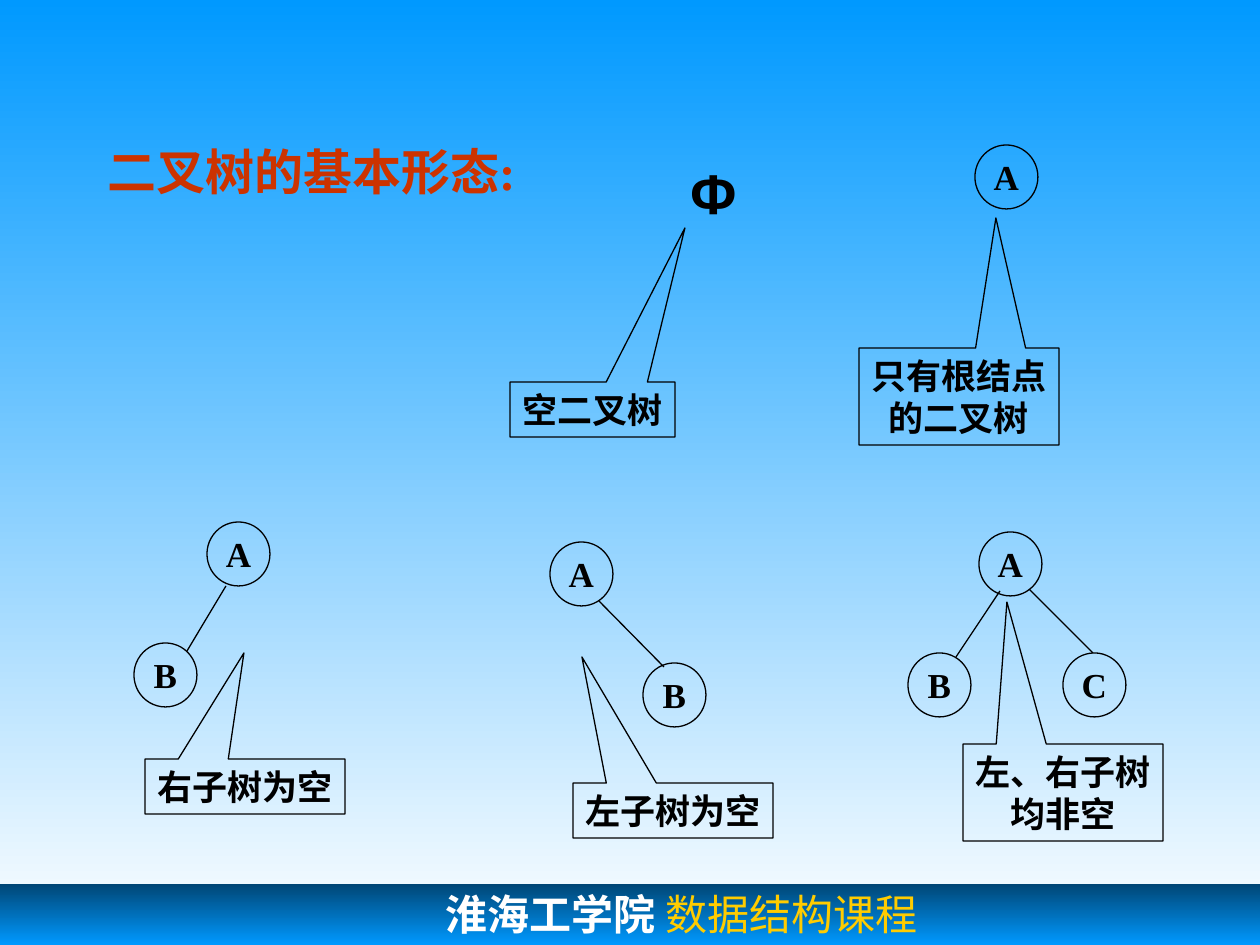
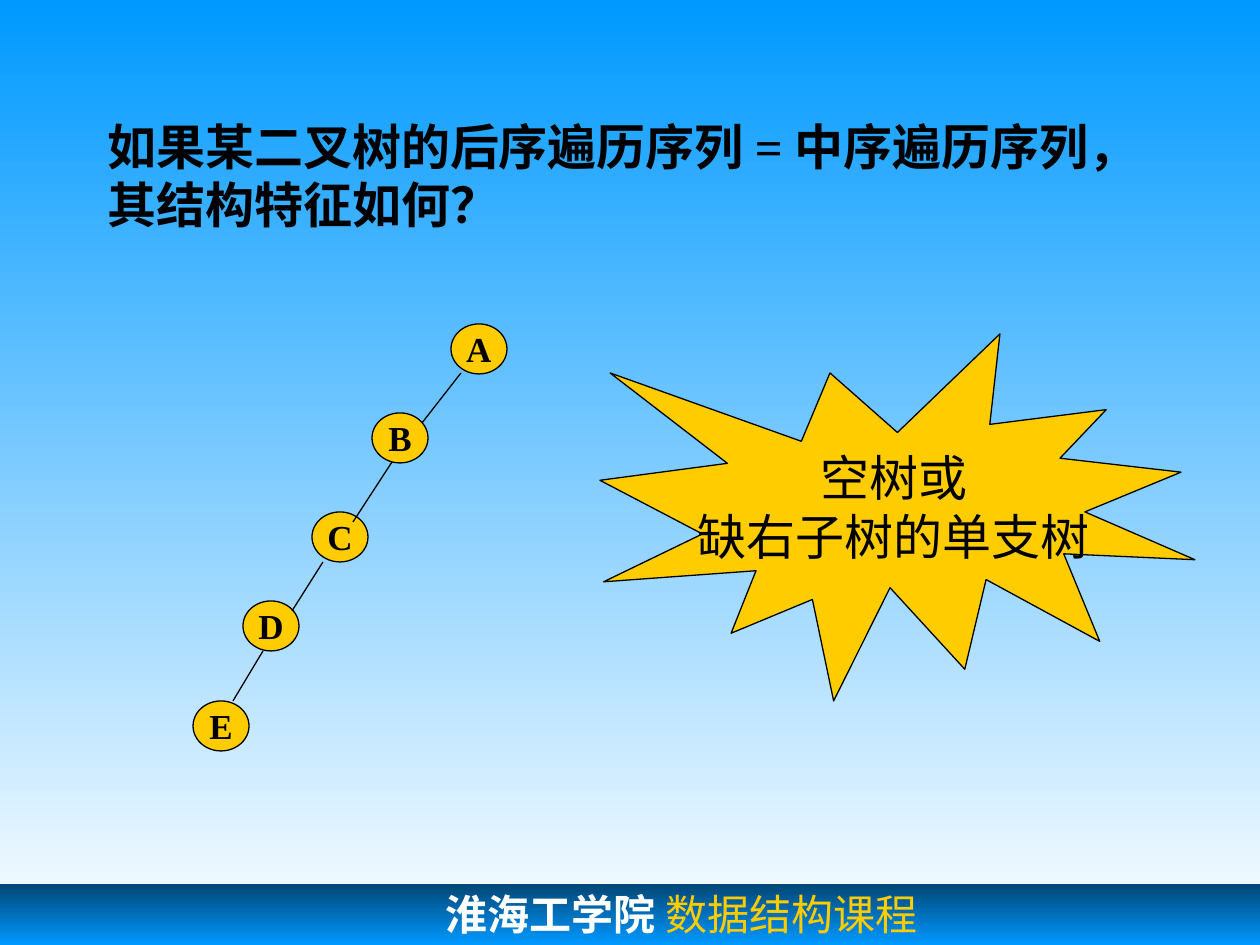
import pptx
import pptx.dml.color
import pptx.enum.shapes
import pptx.enum.text
import pptx.oxml
import pptx.oxml.ns
import pptx.util

RGBColor = pptx.dml.color.RGBColor
SHAPE = pptx.enum.shapes.MSO_SHAPE
ALIGN = pptx.enum.text.PP_ALIGN
ANCHOR = pptx.enum.text.MSO_ANCHOR

SKY = RGBColor(0x00, 0x99, 0xFF)
WHITE = RGBColor(0xFF, 0xFF, 0xFF)
NAVY = RGBColor(0x00, 0x46, 0x75)
GOLD = RGBColor(0xFF, 0xCC, 0x00)
RUST = RGBColor(0xCC, 0x33, 0x00)
BLACK = RGBColor(0x00, 0x00, 0x00)

SERIF = "Times New Roman"
MONO = "DejaVu Sans Mono"
PIXEL = 914400 // 126
SLIDE_WIDTH, SLIDE_HEIGHT = 1260, 945
FOOTER_TOP = 884
FOOTER_SHAPE_ID = "100"
OPEN_NODE = (63, 64)
GOLD_NODE = (56, 50)


def px(*lengths):
    return [pptx.util.Emu(length * PIXEL) for length in lengths]


def style_font(font, size, colour, bold=True, name=SERIF):
    font.name = name
    font.size = pptx.util.Pt(size)
    font.bold = bold
    font.color.rgb = colour


def fill_gradient(fill, top, bottom):
    fill.gradient()
    fill.gradient_angle = 270
    for stop, colour, position in zip(fill.gradient_stops, (top, bottom), (0, 1)):
        stop.color.rgb = colour
        stop.position = position


def write_lines(shape, lines, size=20, bold=True, name=SERIF):
    frame = shape.text_frame
    frame.word_wrap = False
    frame.vertical_anchor = ANCHOR.MIDDLE
    frame.text = "\n".join(lines)
    for para in frame.paragraphs:
        para.alignment = ALIGN.CENTER
        style_font(para.font, size, BLACK, bold, name)


def add_outlined(page, kind, box, fill=None):
    shape = page.shapes.add_shape(kind, *px(*box))
    shape.shadow.inherit = False
    if fill is None:
        shape.fill.background()
    else:
        shape.fill.solid()
        shape.fill.fore_color.rgb = fill
    shape.line.color.rgb = BLACK
    shape.line.width = pptx.util.Pt(0.75)
    return shape


def add_node(page, letter, left, top, size=OPEN_NODE, fill=None):
    node = add_outlined(page, SHAPE.OVAL, (left, top, *size), fill)
    write_lines(node, [letter])


def add_callout(page, lines, box, tip):
    callout = add_outlined(page, SHAPE.RECTANGULAR_CALLOUT, box)
    left, top, width, height = box
    callout.adjustments[0] = (tip[0] - left) / width - 0.5
    callout.adjustments[1] = (tip[1] - top) / height - 0.5
    write_lines(callout, lines)


def add_branch(page, start, end):
    branch = page.shapes.add_connector(
        pptx.enum.shapes.MSO_CONNECTOR.STRAIGHT, *px(*start, *end))
    branch.line.color.rgb = BLACK
    branch.line.width = pptx.util.Pt(0.75)
    branch.element.spPr.append(
        pptx.oxml.parse_xml(f"<a:effectLst {pptx.oxml.ns.nsdecls('a')}/>"))


def set_title(page, text, top, height, colour):
    title = page.shapes.title
    title.left, title.top, title.width, title.height = px(95, top, 1071, height)
    frame = title.text_frame
    frame.text = text
    frame.word_wrap = True
    frame.auto_size = pptx.enum.text.MSO_AUTO_SIZE.NONE
    frame.vertical_anchor = ANCHOR.MIDDLE
    para = frame.paragraphs[0]
    para.alignment = ALIGN.LEFT
    style_font(para.font, 28, colour)


def put_footer_on_master(deck, page):
    band = page.shapes.add_shape(
        SHAPE.RECTANGLE, *px(0, FOOTER_TOP, SLIDE_WIDTH, SLIDE_HEIGHT - FOOTER_TOP))
    band.shadow.inherit = False
    fill_gradient(band.fill, NAVY, SKY)
    band.line.fill.background()
    frame = band.text_frame
    frame.word_wrap = True
    frame.vertical_anchor = ANCHOR.TOP
    frame.margin_left, frame.margin_top, frame.margin_bottom = px(446, 5, 0)
    para = frame.paragraphs[0]
    para.alignment = ALIGN.LEFT
    for text, colour, bold, name in (("淮海工学院", WHITE, True, MONO),
                                     (" 数据结构课程", GOLD, False, SERIF)):
        span = para.add_run()
        span.text = text
        style_font(span.font, 24, colour, bold, name)
    band.element.nvSpPr.cNvPr.set("id", FOOTER_SHAPE_ID)
    deck.slide_master.element.cSld.spTree.insert(2, band.element)


def build_basic_forms(page):
    set_title(page, "二叉树的基本形态:", 125, 91, RUST)

    empty_tree = page.shapes.add_textbox(*px(678, 152, 68, 81))
    write_lines(empty_tree, ["Φ"], 32, name="Arial")

    for letter, left, top in (("A", 975, 145),
                              ("A", 207, 522), ("B", 134, 643),
                              ("A", 550, 542), ("B", 643, 663),
                              ("A", 979, 532), ("B", 908, 653), ("C", 1063, 653)):
        add_node(page, letter, left, top)

    for start, end in (((226, 586), (187, 651)),
                       ((599, 601), (664, 667)),
                       ((1000, 591), (956, 657)),
                       ((1029, 589), (1093, 653))):
        add_branch(page, start, end)

    for lines, box, tip in (
            (["空二叉树"], (510, 382, 165, 55), (685, 228)),
            (["只有根结点", "的二叉树"], (859, 348, 200, 97), (996, 218)),
            (["右子树为空"], (145, 759, 200, 55), (244, 653)),
            (["左子树为空"], (573, 783, 200, 55), (582, 657)),
            (["左、右子树", "均非空"], (963, 744, 200, 97), (1007, 602))):
        add_callout(page, lines, box, tip)


def build_traversal_question(page):
    set_title(page, "如果某二叉树的后序遍历序列 = 中序遍历序列，其结构特征如何？",
              96, 158, BLACK)

    for letter, left, top in (("A", 451, 324), ("B", 372, 413), ("C", 312, 512),
                              ("D", 243, 601), ("E", 193, 701)):
        add_node(page, letter, left, top, GOLD_NODE, GOLD)

    for start, end in (((461, 373), (422, 423)), ((392, 462), (353, 522)),
                       ((323, 562), (292, 611)), ((263, 651), (233, 701))):
        add_branch(page, start, end)

    answer = add_outlined(page, SHAPE.EXPLOSION1, (600, 334, 595, 367), GOLD)
    write_lines(answer, ["空树或", "缺右子树的单支树"], 28, bold=False)


def main():
    deck = pptx.Presentation()
    deck.slide_width, deck.slide_height = px(SLIDE_WIDTH, SLIDE_HEIGHT)
    fill_gradient(deck.slide_master.background.fill, SKY, WHITE)
    title_only = deck.slide_layouts[5]
    forms_page = deck.slides.add_slide(title_only)
    question_page = deck.slides.add_slide(title_only)
    put_footer_on_master(deck, forms_page)
    build_basic_forms(forms_page)
    build_traversal_question(question_page)
    deck.save("out.pptx")


if __name__ == "__main__":
    main()
